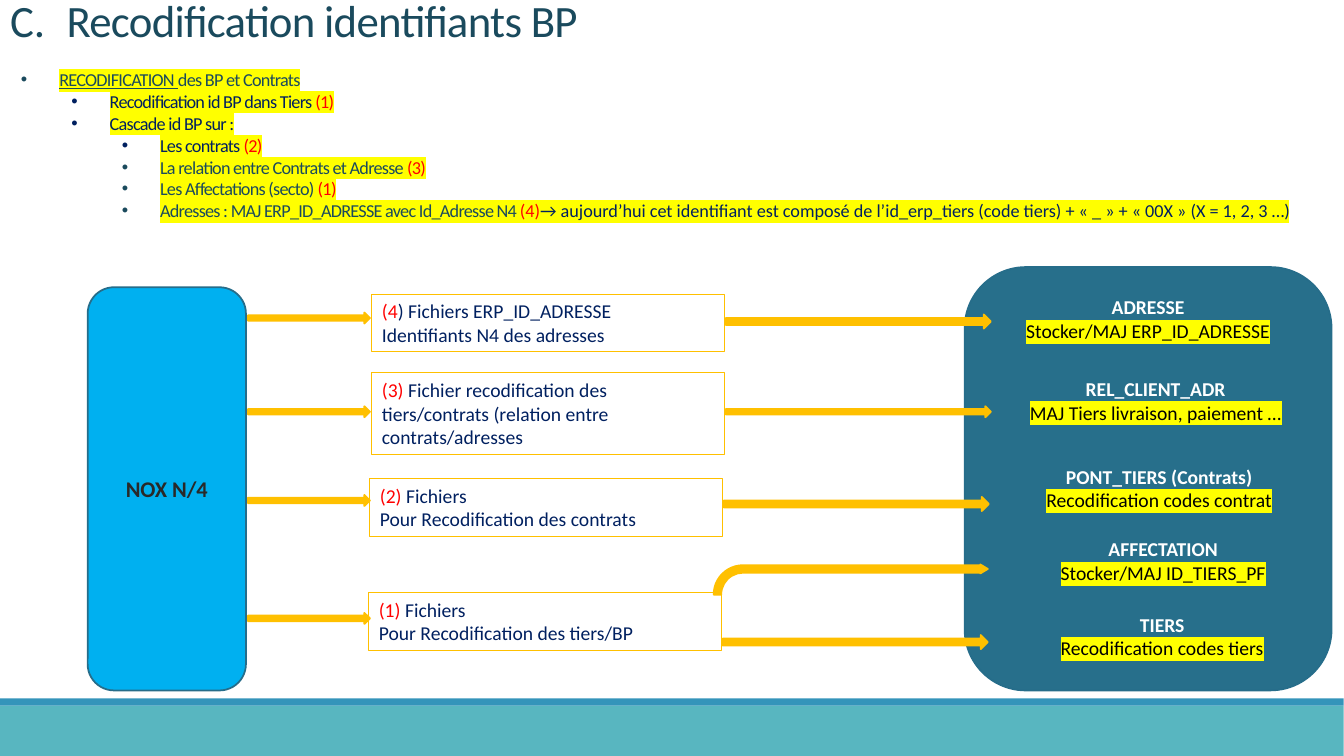
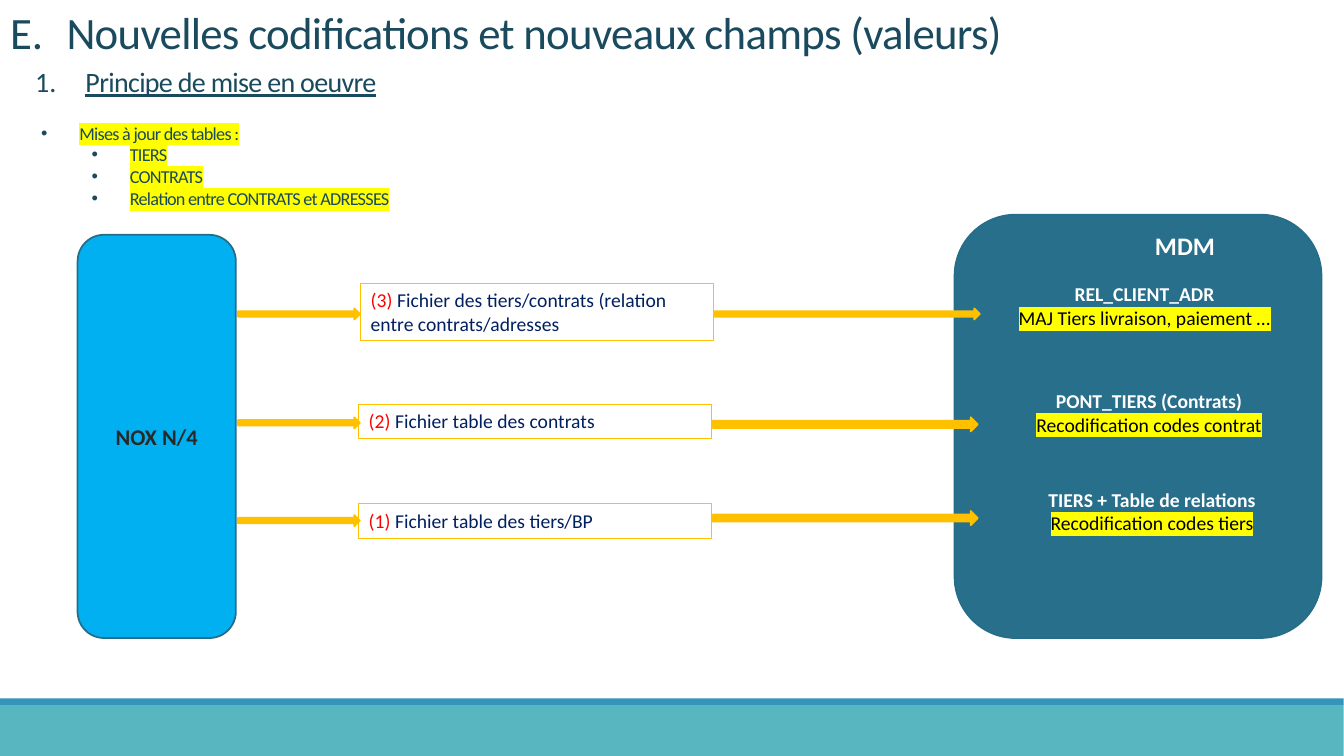
"""Build two slides showing how recoded identifiers flow from the ERP to the MDM."""
import dataclasses
import typing

import lxml.etree
import pptx
import pptx.dml.color
import pptx.enum.shapes
import pptx.enum.text
import pptx.oxml.ns
import pptx.util

SHAPE = pptx.enum.shapes.MSO_SHAPE
ALIGN = pptx.enum.text.PP_ALIGN
ANCHOR = pptx.enum.text.MSO_ANCHOR
AUTO = pptx.enum.text.MSO_AUTO_SIZE


@dataclasses.dataclass(frozen=True)
class Theme:
    """Colours, font and type sizes of the deck."""
    font: str = "Calibri"
    teal: str = "1A4A5D"
    navy: str = "002060"
    red: str = "FF0000"
    black: str = "000000"
    white: str = "FFFFFF"
    charcoal: str = "292929"
    marker: str = "FFFF00"
    amber: str = "FFC000"
    source: str = "00B0F0"
    target: str = "276F8B"
    edge: str = "266D8A"
    band: str = "58B6C0"
    stripe: str = "3494BA"
    title: int = 32
    subtitle: int = 20
    heading: int = 18
    system: int = 16
    body: int = 14
    bullet: int = 13


T = Theme()


@dataclasses.dataclass(frozen=True)
class Style:
    """Character formatting of a run."""
    size: int
    color: str
    bold: bool = False
    underline: bool = False
    tight: bool = False
    marked: bool = False


class Run(typing.NamedTuple):
    """A piece of text in one style."""
    text: str
    style: Style


class Para(typing.NamedTuple):
    """A paragraph; a marker gives it a hanging indent in inches."""
    runs: list[Run]
    align: ALIGN = ALIGN.LEFT
    level: int = 0
    hang: float = 0
    marker: tuple[str, dict[str, str]] | None = None


class Box(typing.NamedTuple):
    """A place on a grid whose columns and rows are a tenth of an inch."""
    col: float
    row: float
    cols: float
    rows: float

    def emu(self) -> list[int]:
        """Return left, top, width and height."""
        return [pptx.util.Inches(v / 10) for v in self]


class Label(typing.NamedTuple):
    """A target table: name, action, and its place from the source edge."""
    name: str
    action: str
    col: float
    row: float
    cols: float
    rows: float = 5.7


class Flow(typing.NamedTuple):
    """A file between the source and the target, with its two arrows."""
    lines: list[list[Run]]
    col: float
    row: float
    rows: float
    in_row: float
    out_row: float
    out_rows: float = 1.4


class Page(typing.NamedTuple):
    """The contents of one slide."""
    title: str
    number: int
    title_rows: float
    bullets: list[Para]
    bullet_box: Box
    col: float
    row: float
    flows: list[Flow]
    labels: list[Label]


TITLE = Style(T.title, T.teal, tight=True)
SUBTITLE = Style(T.subtitle, T.teal, underline=True, tight=True)
TEAL = Style(T.bullet, T.teal, tight=True, marked=True)
NAVY = dataclasses.replace(TEAL, color=T.navy)
RED = dataclasses.replace(TEAL, color=T.red)
UNDER = dataclasses.replace(TEAL, underline=True)
LOOSE_RED = dataclasses.replace(RED, tight=False)
LOOSE_NAVY = dataclasses.replace(NAVY, tight=False)
FILE = Style(T.body, T.navy)
KEY = Style(T.body, T.red)
NAME = Style(T.body, T.white, bold=True)
ACTION = Style(T.body, T.black, marked=True)


def bullet(level: int, *runs: tuple[str, Style]) -> Para:
    """Make a bulleted paragraph at a level."""
    return Para([Run(*r) for r in runs], level=level, hang=0.38, marker=("buChar", {"char": "•"}))


def numbered(text: str, style: Style, scheme: str, start: int, hang: float) -> Para:
    """Make an automatically numbered paragraph."""
    return Para([Run(text, style)], hang=hang,
                marker=("buAutoNum", {"type": scheme, "startAt": str(start)}))


def keyed(key: str, *lines: str) -> list[list[Run]]:
    """Make file lines, the first led by a red key."""
    return [[Run(key, KEY), Run(lines[0], FILE)]] + [[Run(t, FILE)] for t in lines[1:]]


def child(parent, tag: str, **attrs: str):
    """Append a DrawingML element."""
    return lxml.etree.SubElement(parent, pptx.oxml.ns.qn(f"a:{tag}"), **attrs)


def add_run(p, run: Run) -> None:
    """Add one formatted run."""
    r = p.add_run()
    r.text = run.text
    st = run.style
    r.font.size = pptx.util.Pt(st.size)
    r.font.bold = st.bold
    r.font.underline = st.underline
    r.font.color.rgb = pptx.dml.color.RGBColor.from_string(st.color)
    r.font.name = T.font
    rpr = r.font._element
    if st.tight:
        rpr.set("spc", "-50")
    if st.marked:
        mark = child(rpr, "highlight")
        child(mark, "srgbClr", val=T.marker)
        rpr.find(pptx.oxml.ns.qn("a:solidFill")).addnext(mark)


def write(sp, paras: list[Para], anchor=ANCHOR.TOP, wrap: bool = True) -> None:
    """Fill a shape with paragraphs."""
    tf = sp.text_frame
    tf.word_wrap = wrap
    tf.auto_size = AUTO.NONE
    tf.vertical_anchor = anchor
    for i, para in enumerate(paras):
        p = tf.add_paragraph() if i else tf.paragraphs[0]
        p.alignment = para.align
        p.level = para.level
        if para.marker:
            ppr = p._p.get_or_add_pPr()
            ppr.set("marL", str(pptx.util.Inches(para.hang + para.level / 2)))
            ppr.set("indent", str(-pptx.util.Inches(para.hang)))
            tag, attrs = para.marker
            if tag == "buChar":
                child(ppr, "buFont", typeface="Arial")
            child(ppr, tag, **attrs)
        for run in para.runs:
            add_run(p, run)


def add_text(s, box: Box, paras: list[Para], wrap: bool = True) -> None:
    """Add a text box."""
    write(s.shapes.add_textbox(*box.emu()), paras, wrap=wrap)


def add_block(s, kind, box: Box, fill: str | None, line: str | None = None, width: float = 1.25):
    """Add a flat preset shape."""
    sp = s.shapes.add_shape(kind, *box.emu())
    sp.shadow.inherit = False
    if fill:
        sp.fill.solid()
        sp.fill.fore_color.rgb = pptx.dml.color.RGBColor.from_string(fill)
    else:
        sp.fill.background()
    if line:
        sp.line.color.rgb = pptx.dml.color.RGBColor.from_string(line)
        sp.line.width = pptx.util.Pt(width)
    else:
        sp.line.fill.background()
    return sp


def add_arrow(s, box: Box, kind=SHAPE.RIGHT_ARROW):
    """Add an amber block arrow."""
    return add_block(s, kind, box, T.amber, T.amber)


def add_bands(s, layout) -> None:
    """Put the footer bands on the layout shared by the slides."""
    for ph in list(layout.placeholders)[1:]:
        ph.element.getparent().remove(ph.element)
    for box, color in ((Box(0, 70, 133.3, 5), T.band), (Box(0, 69.3, 133.3, 0.7), T.stripe)):
        layout.shapes.element.append(add_block(s, SHAPE.RECTANGLE, box, color).element)


def add_flow(s, col: float, flow: Flow) -> None:
    """Draw a file box with its incoming and outgoing arrows."""
    box = Box(col + flow.col, flow.row, 35, flow.rows)
    add_arrow(s, Box(col + 15.9, flow.in_row, 12.1, 1.1))
    sp = add_block(s, SHAPE.RECTANGLE, box, None, T.amber, 0.75)
    write(sp, [Para(line) for line in flow.lines])
    add_arrow(s, Box(box.col + 35.1, flow.out_row, 26.3, flow.out_rows))


def add_page(s, page: Page) -> None:
    """Draw the title, bullets and flow diagram of a slide."""
    title = s.shapes.title
    title.left, title.top, title.width, title.height = Box(0, 0, 133.3, page.title_rows).emu()
    write(title, [numbered(page.title, TITLE, "alphaUcPeriod", page.number, 0.56)], ANCHOR.BOTTOM)
    title.text_frame.margin_top = 0
    title.text_frame.paragraphs[0].line_spacing = 0.85
    add_text(s, page.bullet_box, page.bullets)
    source = add_block(s, SHAPE.ROUNDED_RECTANGLE, Box(page.col, page.row, 15.7, 40), T.source, T.edge)
    system = Style(T.system, T.charcoal, bold=True)
    write(source, [Para([Run("NOX N/4", system)], ALIGN.CENTER)], ANCHOR.MIDDLE)
    add_block(s, SHAPE.ROUNDED_RECTANGLE, Box(page.col + 87, page.row - 2, 36.4, 42), T.target, T.edge)
    for flow in page.flows:
        add_flow(s, page.col, flow)
    for lb in page.labels:
        add_text(s, Box(page.col + lb.col, lb.row, lb.cols, lb.rows),
                 [Para([Run(lb.name, NAME)], ALIGN.CENTER), Para([Run(lb.action, ACTION)], ALIGN.CENTER)])


RECODING = Page(
    "Recodification identifiants BP", 3, 5.1,
    [bullet(0, ("RECODIFICATION ", UNDER), ("des BP et Contrats", TEAL)),
     bullet(1, ("Recodification id BP dans Tiers ", NAVY), ("(1)", RED)),
     bullet(1, ("Cascade id BP sur :", NAVY)),
     bullet(2, ("Les contrats ", NAVY), ("(2)", RED)),
     bullet(2, ("La relation entre Contrats et Adresse ", TEAL), ("(3)", RED)),
     bullet(2, ("Les Affectations (secto) ", TEAL), ("(1)", RED)),
     bullet(2, ("Adresses : MAJ ERP_ID_ADRESSE avec Id_Adresse N4 ", TEAL), ("(4)", LOOSE_RED),
            ("→ aujourd’hui cet identifiant est composé de l’id_erp_tiers (code tiers) "
             "+ « _ » + « 00X » (X = 1, 2, 3 …)", LOOSE_NAVY))],
    Box(1.1, 6.3, 130.2, 17), 8.7, 28.5,
    [Flow(keyed("(4", ") Fichiers ERP_ID_ADRESSE", "Identifiants N4 des adresses"), 28.2, 29.2, 5.7, 31, 31.2),
     Flow(keyed("(3) ", "Fichier recodification des tiers/contrats (relation entre contrats/adresses"),
          28.2, 37, 8.1, 40.3, 40.3, 1.1),
     Flow(keyed("(2) ", "Fichiers", "Pour Recodification des contrats"), 28, 47.5, 5.7, 49.1, 49.3),
     Flow(keyed("(1) ", "Fichiers", "Pour Recodification des tiers/BP"), 27.9, 58.8, 5.7, 60.8, 63)],
    [Label("ADRESSE", "Stocker/MAJ ERP_ID_ADRESSE", 87, 28.8, 36.4),
     Label("REL_CLIENT_ADR", "MAJ Tiers livraison, paiement …", 88.5, 36.9, 34.9, 8.1),
     Label("PONT_TIERS (Contrats)", "Recodification codes contrat", 89.3, 45.6, 34),
     Label("AFFECTATION", "Stocker/MAJ ID_TIERS_PF", 88.5, 52.8, 36.4),
     Label("TIERS", "Recodification codes tiers", 89.8, 60.3, 33.6)])

NEW_FIELDS = Page(
    "Nouvelles codifications et nouveaux champs (valeurs)", 5, 6.3,
    [bullet(0, ("Mises à jour des tables :", TEAL))]
    + [bullet(1, (t, TEAL)) for t in ("TIERS", "CONTRATS", "Relation entre CONTRATS et ADRESSES")],
    Box(3.1, 11.6, 130.2, 10), 7.7, 23.3,
    [Flow(keyed("(3) ", "Fichier des tiers/contrats (relation entre contrats/adresses"),
          28.1, 28.1, 5.7, 30.6, 30.6, 1.1),
     Flow(keyed("(2) ", "Fichier table des contrats"), 27.9, 40.1, 3.4, 41.4, 41.4),
     Flow(keyed("(1) ", "Fichier table des tiers/BP"), 27.9, 50, 3.4, 51.1, 50.7)],
    [Label("REL_CLIENT_ADR", "MAJ Tiers livraison, paiement …", 88.4, 27.5, 34.9, 8.1),
     Label("PONT_TIERS (Contrats)", "Recodification codes contrat", 89.3, 38.1, 34),
     Label("TIERS + Table de relations", "Recodification codes tiers", 89.8, 47.9, 33.6)])


def main() -> None:
    """Build and save the deck."""
    prs = pptx.Presentation()
    prs.slide_width, prs.slide_height = Box(0, 0, 133.33, 75).emu()[2:]
    layout = prs.slide_layouts[5]
    s = prs.slides.add_slide(layout)
    add_bands(s, layout)
    add_page(s, RECODING)
    bend = add_arrow(s, Box(70.8, 56, 27.2, 3), SHAPE.BENT_ARROW)
    for i, share in enumerate((0.25, 0.15, 0.25, 0.97)):
        bend.adjustments[i] = share
    s = prs.slides.add_slide(layout)
    add_page(s, NEW_FIELDS)
    add_text(s, Box(113.6, 22.4, 8, 4), [Para([Run("MDM", Style(T.heading, T.white, bold=True))])], wrap=False)
    add_text(s, Box(2.5, 5.9, 128.4, 4.5),
             [numbered("Principe de mise en oeuvre", SUBTITLE, "arabicPeriod", 1, 0.5)])
    prs.save("out.pptx")


if __name__ == "__main__":
    main()
